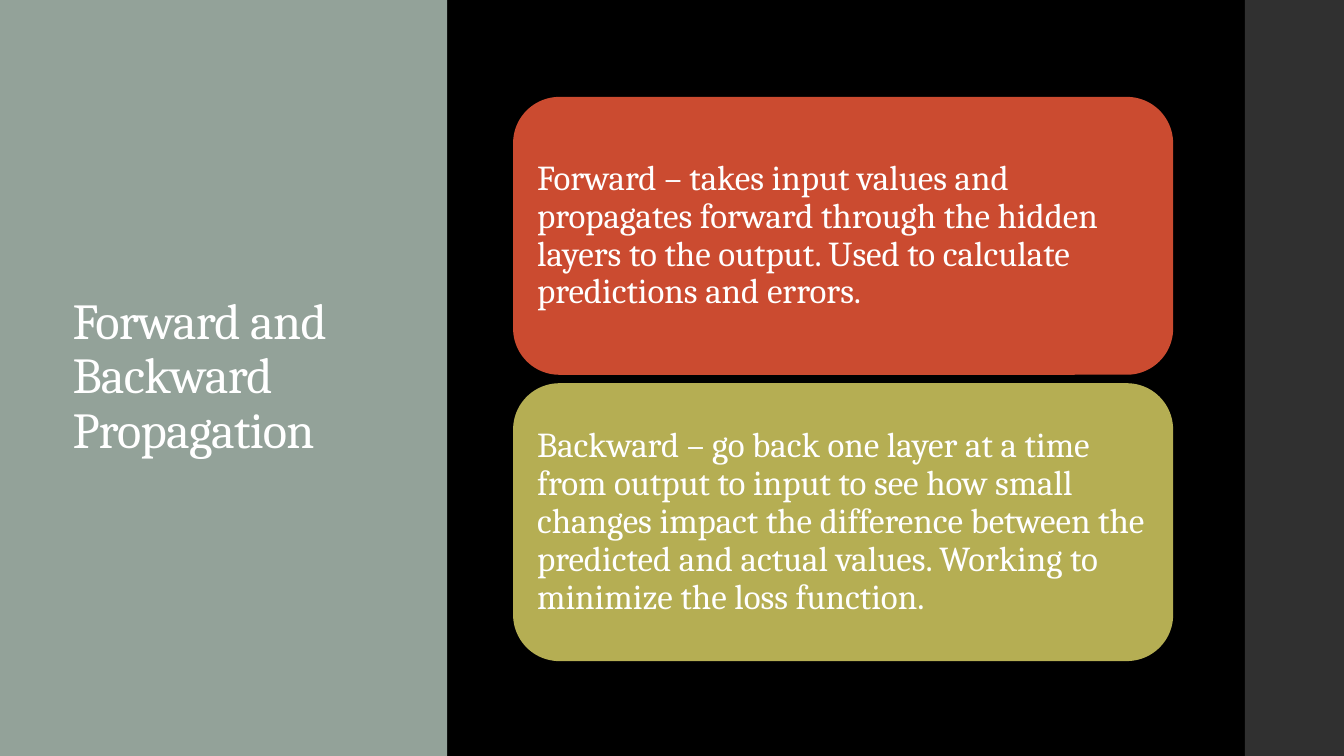
from dataclasses import dataclass

from pptx import Presentation
from pptx.dml.color import RGBColor
from pptx.enum.shapes import MSO_SHAPE
from pptx.enum.text import MSO_ANCHOR, MSO_AUTO_SIZE, PP_ALIGN
from pptx.shapes.autoshape import Shape
from pptx.slide import Slide
from pptx.text.text import TextFrame
from pptx.util import Pt

SLIDE_WIDTH, SLIDE_HEIGHT = 960, 540
CARD_LEFT, CARD_TOP = 366.5, 69.2
CARD_WIDTH, CARD_HEIGHT, CARD_GAP = 471.5, 198.5, 6
FONT = "Cambria"
WHITE = "FFFFFF"


@dataclass
class Card:
    text: str
    fill: str


CARDS = [
    Card("Forward – takes input values and propagates forward through the hidden "
         "layers to the output. Used to calculate predictions and errors.", "CB4B30"),
    Card("Backward – go back one layer at a time from output to input to see how small "
         "changes impact the difference between the predicted and actual values. "
         "Working to minimize the loss function.", "B5AE53"),
]


def color(value: str) -> RGBColor:
    return RGBColor.from_string(value)


def add_block(slide: Slide, kind: MSO_SHAPE, left: float, top: float,
              width: float, height: float, fill: str) -> Shape:
    block = slide.shapes.add_shape(kind, Pt(left), Pt(top), Pt(width), Pt(height))
    block.shadow.inherit = False
    block.fill.solid()
    block.fill.fore_color.rgb = color(fill)
    block.line.fill.background()
    return block


def write_text(frame: TextFrame, text: str, *, size: float, inset: tuple[float, float],
               letter_spacing: float = 0, space_after: float = 0) -> None:
    """Fill the frame with one left-aligned, vertically centred paragraph."""
    frame.word_wrap = True
    frame.auto_size = MSO_AUTO_SIZE.NONE
    frame.vertical_anchor = MSO_ANCHOR.MIDDLE
    frame.margin_left = frame.margin_right = Pt(inset[0])
    frame.margin_top = frame.margin_bottom = Pt(inset[1])
    para = frame.paragraphs[0]
    para.alignment = PP_ALIGN.LEFT
    para.line_spacing = 0.9
    para.space_before = Pt(0)
    para.space_after = Pt(space_after)
    span = para.add_run()
    span.text = text
    span.font.name = FONT
    span.font.size = Pt(size)
    span.font.color.rgb = color(WHITE)
    if letter_spacing:
        span.font._element.set("spc", str(round(letter_spacing * 100)))


def add_title(slide: Slide, text: str) -> None:
    title = slide.shapes.title
    title.left, title.top = Pt(44.6), Pt(65.5)
    title.width, title.height = Pt(214), Pt(408)
    write_text(title.text_frame, text, size=36, inset=(7.2, 3.6), letter_spacing=-0.5)


def main() -> None:
    deck = Presentation()
    deck.slide_width, deck.slide_height = Pt(SLIDE_WIDTH), Pt(SLIDE_HEIGHT)
    slide = deck.slides.add_slide(deck.slide_layouts[5])
    slide.background.fill.solid()
    slide.background.fill.fore_color.rgb = color("000000")

    title_panel = add_block(slide, MSO_SHAPE.RECTANGLE, 0, 0, 319.5, SLIDE_HEIGHT, "93A299")
    # The panel must lie behind the title placeholder.
    slide.shapes.title._element.addprevious(title_panel._element)
    add_title(slide, "Forward and Backward Propagation")

    strip_left = 889.2
    add_block(slide, MSO_SHAPE.RECTANGLE, strip_left, 0,
              SLIDE_WIDTH - strip_left, SLIDE_HEIGHT, "303030")

    for index, card in enumerate(CARDS):
        top = CARD_TOP + index * (CARD_HEIGHT + CARD_GAP)
        box = add_block(slide, MSO_SHAPE.ROUNDED_RECTANGLE, CARD_LEFT, top,
                        CARD_WIDTH, CARD_HEIGHT, card.fill)
        write_text(box.text_frame, card.text, size=25, inset=(7.5, 7.5), space_after=8.75)

    deck.save("out.pptx")


if __name__ == "__main__":
    main()
